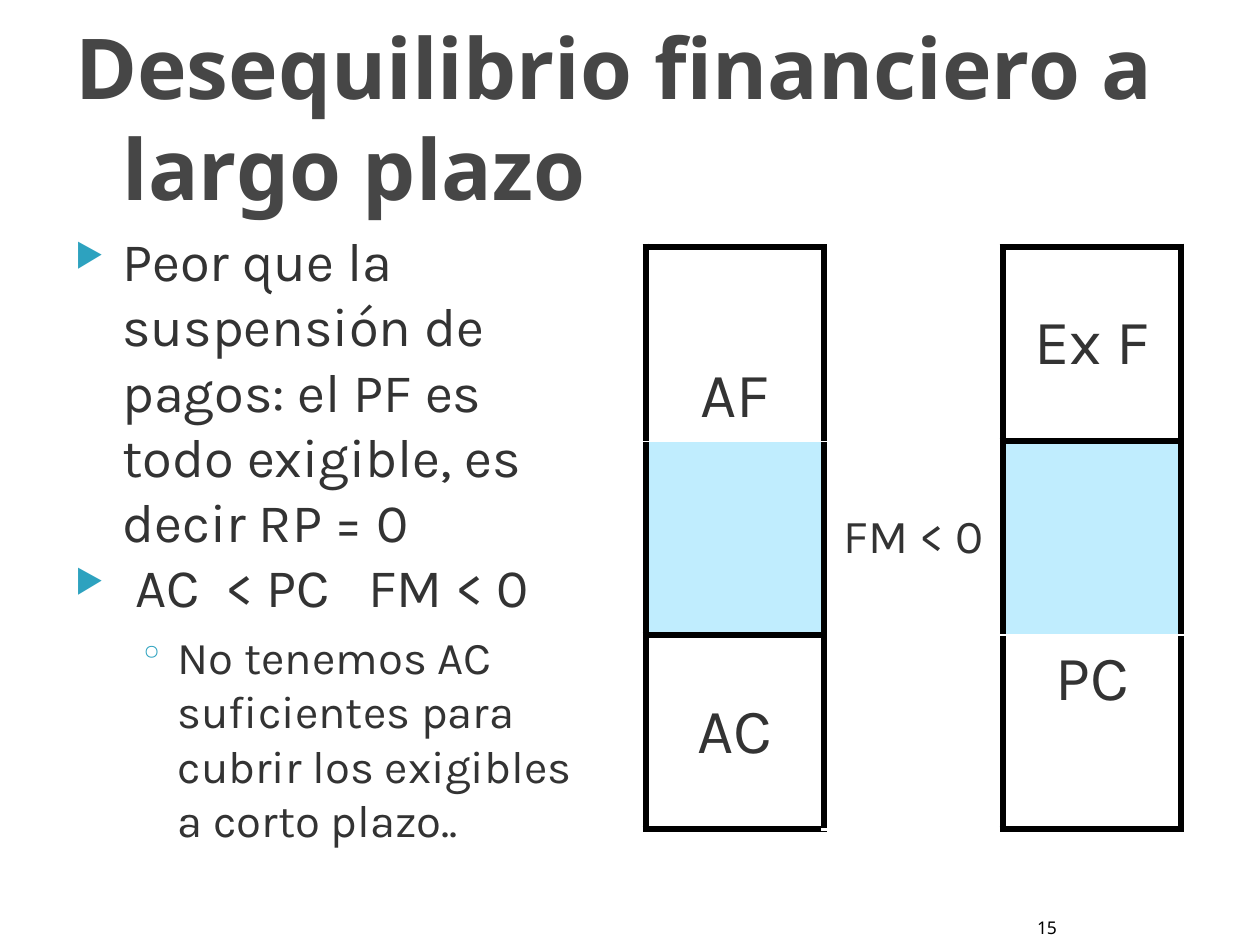
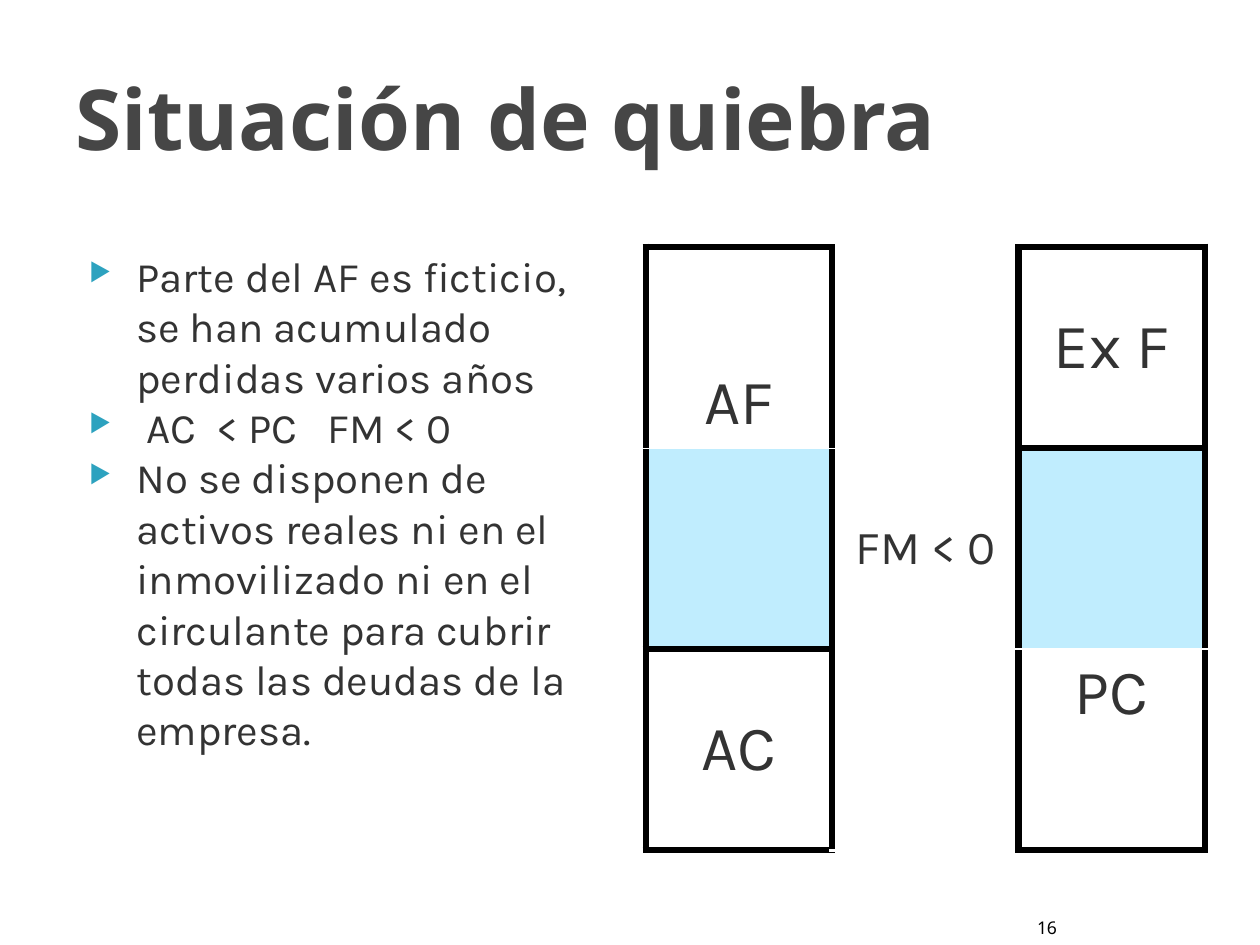
import lxml.etree
import pptx
import pptx.dml.color
import pptx.enum.text
import pptx.oxml.ns
import pptx.util

Pt = pptx.util.Pt
RGBColor = pptx.dml.color.RGBColor
Anchor = pptx.enum.text.MSO_ANCHOR
Align = pptx.enum.text.PP_ALIGN
qn = pptx.oxml.ns.qn

TITLE_GRAY = RGBColor(0x46, 0x46, 0x46)
TEXT_GRAY = RGBColor(0x33, 0x33, 0x33)
TEAL = RGBColor(0x2D, 0xA2, 0xBF)
PALE_BLUE = RGBColor(0xC0, 0xED, 0xFE)
BLACK = RGBColor(0, 0, 0)
WHITE = RGBColor(255, 255, 255)
HEADING_FONT = "Noto Sans"
BODY_FONT = "Karla"

THICK = (BLACK, 4)
HAIRLINE = (WHITE, 0.25)
THIN = (WHITE, 1)
GAP = (WHITE, 2.25)
BALANCE_CELLS = [
    (0, 0, "AF", 36, Anchor.BOTTOM, WHITE, THICK, HAIRLINE),
    (1, 0, "", 36, Anchor.TOP, PALE_BLUE, HAIRLINE, THICK),
    (2, 0, "AC", 36, Anchor.MIDDLE, WHITE, THICK, THICK),
    (0, 1, "FM < 0", 27, Anchor.MIDDLE, WHITE, THIN, GAP),
    (1, 1, "", 27, Anchor.MIDDLE, WHITE, THIN, GAP),
    (2, 1, "", 27, Anchor.MIDDLE, WHITE, THIN, GAP),
    (0, 2, "Ex F", 36, Anchor.MIDDLE, WHITE, THICK, THICK),
    (1, 2, "", 36, Anchor.TOP, PALE_BLUE, THICK, THIN),
    (2, 2, "PC", 36, Anchor.TOP, WHITE, THIN, THICK),
]


class BalanceDeck:
    def __init__(self):
        self.deck = pptx.Presentation()
        self.deck.slide_width = Pt(720)
        self.deck.slide_height = Pt(540)
        self.page = None

    def add_page(self):
        self.page = self.deck.slides.add_slide(self.deck.slide_layouts[6])

    def style(self, para, size, color, font=BODY_FONT, bold=False):
        para.font.size = Pt(size)
        para.font.name = font
        para.font.bold = bold
        para.font.color.rgb = color

    def indent(self, para, left, first):
        properties = para._p.get_or_add_pPr()
        properties.set("marL", str(Pt(left)))
        properties.set("indent", str(Pt(first)))
        return properties

    def text_frame(self, left, top, width, height, anchor=Anchor.TOP):
        box = self.page.shapes.add_textbox(Pt(left), Pt(top), Pt(width), Pt(height))
        frame = box.text_frame
        frame.word_wrap = True
        frame.vertical_anchor = anchor
        frame.margin_left = frame.margin_top = frame.margin_bottom = Pt(4)
        frame.margin_right = Pt(10)
        return frame

    def title(self, text):
        frame = self.text_frame(36, 7.2, 648, 118.8, Anchor.MIDDLE)
        para = frame.paragraphs[0]
        para.text = text
        self.indent(para, 30, -27)
        self.style(para, 48, TITLE_GRAY, HEADING_FONT, True)

    def bullets(self, left, top, width, items):
        frame = self.text_frame(left, top, width, 414)
        for index, (level, size, text) in enumerate(items):
            para = frame.paragraphs[0] if index == 0 else frame.add_paragraph()
            para.text = text
            para.level = level
            para.space_before = Pt(6 * level)
            self.bullet(para, level)
            self.style(para, size, TEXT_GRAY)

    def bullet(self, para, level):
        margin, first, symbol, percent = [(30, -27, "▶", 60), (61.5, -22.5, "◦", 75)][level]
        properties = self.indent(para, margin, first)
        color = lxml.etree.SubElement(properties, qn("a:buClr"))
        lxml.etree.SubElement(color, qn("a:srgbClr"), val=str(TEAL))
        lxml.etree.SubElement(properties, qn("a:buSzPct"), val=str(percent * 1000))
        lxml.etree.SubElement(properties, qn("a:buChar"), char=symbol)

    def page_number(self, number):
        frame = self.text_frame(587.5, 520, 21.6, 20, Anchor.BOTTOM)
        frame.word_wrap = False
        frame.margin_left = frame.margin_right = 0
        para = frame.paragraphs[0]
        para.text = str(number)
        para.alignment = Align.CENTER
        self.style(para, 10, BLACK, HEADING_FONT)

    def border(self, cell, side, color, width):
        properties = cell._tc.get_or_add_tcPr()
        line = lxml.etree.SubElement(properties, qn("a:ln" + side), w=str(Pt(width)))
        fill = lxml.etree.SubElement(line, qn("a:solidFill"))
        lxml.etree.SubElement(fill, qn("a:srgbClr"), val=str(color))

    def balance_table(self, column_width, row_height):
        table = self.page.shapes.add_table(
            3, 3, Pt(369), Pt(141), Pt(3 * column_width), Pt(3 * row_height)
        ).table
        table.first_row = table.horz_banding = False
        for column in table.columns:
            column.width = Pt(column_width)
        for row in table.rows:
            row.height = Pt(row_height)
        table.cell(0, 1).merge(table.cell(2, 1))
        for row, column, text, size, anchor, fill, top, bottom in BALANCE_CELLS:
            cell = table.cell(row, column)
            for side, line in zip("LRTB", (THICK, THICK, top, bottom)):
                self.border(cell, side, *line)
            cell.fill.solid()
            cell.fill.fore_color.rgb = fill
            cell.vertical_anchor = anchor
            cell.margin_left = cell.margin_right = Pt(4.5)
            cell.margin_top = cell.margin_bottom = Pt(4.5)
            para = cell.text_frame.paragraphs[0]
            para.text = text
            para.alignment = Align.CENTER
            self.style(para, size, TEXT_GRAY)


def main():
    builder = BalanceDeck()

    builder.add_page()
    builder.title("Desequilibrio financiero a largo plazo")
    builder.bullets(36, 126, 318, [
        (0, 31, "Peor que la suspensión de pagos: el PF es todo exigible, es decir RP = 0"),
        (0, 31, " AC  < PC   FM < 0"),
        (1, 26, "No tenemos AC suficientes para cubrir los exigibles a corto plazo.."),
    ])
    builder.page_number(15)
    builder.balance_table(102, 111)

    builder.add_page()
    builder.title("Situación de quiebra")
    builder.bullets(44, 139, 304.5, [
        (0, 24, "Parte del AF es ficticio, se han acumulado perdidas varios años"),
        (0, 24, " AC  < PC   FM < 0"),
        (0, 24, "No se disponen de activos reales ni en el inmovilizado ni en el "
                "circulante para cubrir todas las deudas de la empresa."),
    ])
    builder.page_number(16)
    builder.balance_table(106.5, 115)

    builder.deck.save("out.pptx")


if __name__ == "__main__":
    main()
